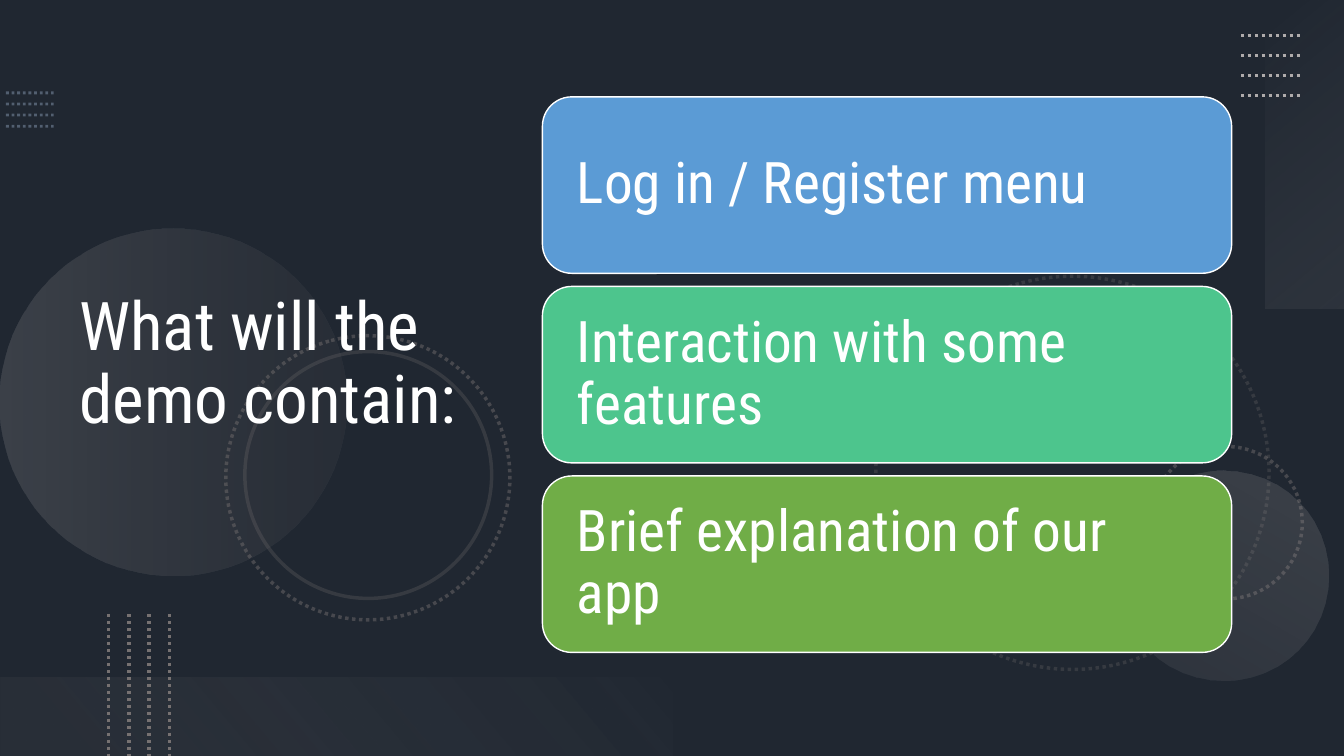
import dataclasses

import pptx
import pptx.dml.color
import pptx.enum.dml
import pptx.enum.shapes
import pptx.enum.text
import pptx.oxml
import pptx.oxml.ns
import pptx.util

Cm, Pt = pptx.util.Cm, pptx.util.Pt
SHAPES = pptx.enum.shapes.MSO_SHAPE
WIDTH, HEIGHT = 33.87, 19.05


@dataclasses.dataclass(frozen=True)
class Theme:
    font: str = "Roboto Condensed"
    title_size: float = 48
    card_size: float = 41
    background: str = "44546A"
    shade: str = "000000"
    text: str = "FFFFFF"
    blue_dots: str = "8497B0"
    light_gray: str = "AFABAB"
    dark_gray: str = "767171"
    pale: str = "F5F5F5"
    cards: tuple = ("5B9BD5", "4DC58D", "70AD47")


THEME = Theme()


def rgb(color):
    return pptx.dml.color.RGBColor.from_string(color)


def set_alpha(fill, percent):
    """Make a solid fill partly transparent."""
    color = fill._xPr.find(".//" + pptx.oxml.ns.qn("a:srgbClr"))
    alpha = pptx.oxml.parse_xml(
        f'<a:alpha {pptx.oxml.ns.nsdecls("a")} val="{percent * 1000}"/>')
    color.append(alpha)


def set_gradient(shape, stops, angle):
    """Fill a shape with (position, color, alpha) stops, angle clockwise."""
    stop_xml = "".join(
        f'<a:gs pos="{position * 1000}"><a:srgbClr val="{color}">'
        f'<a:alpha val="{alpha * 1000}"/></a:srgbClr></a:gs>'
        for position, color, alpha in stops)
    gradient = pptx.oxml.parse_xml(
        f'<a:gradFill {pptx.oxml.ns.nsdecls("a")} rotWithShape="1">'
        f'<a:gsLst>{stop_xml}</a:gsLst>'
        f'<a:lin ang="{angle * 60000}" scaled="0"/></a:gradFill>')
    properties = shape._element.spPr
    properties.find(pptx.oxml.ns.qn("a:prstGeom")).addnext(gradient)


def set_line(line, color, width, dotted=False, alpha=100):
    line.width = Pt(width)
    line.fill.solid()
    line.fill.fore_color.rgb = rgb(color)
    if alpha < 100:
        set_alpha(line.fill, alpha)
    if dotted:
        line.dash_style = pptx.enum.dml.MSO_LINE.ROUND_DOT


def add_shape(slide, kind, box, fill=None, gradient=None, angle=90, rotation=0):
    """Add a shape without line or shadow."""
    shape = slide.shapes.add_shape(kind, *map(Cm, box))
    shape.shadow.inherit = False
    shape.rotation = rotation
    shape.line.fill.background()
    if gradient:
        set_gradient(shape, gradient, angle)
    elif fill:
        shape.fill.solid()
        shape.fill.fore_color.rgb = rgb(fill)
    else:
        shape.fill.background()
    return shape


def write_text(shape, text, size, color=THEME.text, inset=0.25, space_after=0):
    frame = shape.text_frame
    frame.word_wrap = True
    frame.vertical_anchor = pptx.enum.text.MSO_ANCHOR.MIDDLE
    frame.margin_left = frame.margin_right = Cm(inset)
    frame.margin_top = frame.margin_bottom = Cm(inset / 2)
    paragraph = frame.paragraphs[0]
    paragraph.alignment = pptx.enum.text.PP_ALIGN.LEFT
    paragraph.line_spacing = 0.9
    paragraph.space_after = Pt(space_after)
    run = paragraph.add_run()
    run.text = text
    run.font.name = THEME.font
    run.font.size = Pt(size)
    run.font.color.rgb = rgb(color)


def add_dotted_lines(slide, box, color, width, vertical=False, alpha=100, count=4):
    """Spread parallel dotted lines evenly over the box."""
    left, top, box_width, box_height = box
    for index in range(count):
        share = index / (count - 1)
        if vertical:
            x, y = left + box_width * share, top
            end_x, end_y = x, top + box_height
        else:
            x, y = left, top + box_height * share
            end_x, end_y = left + box_width, y
        connector = slide.shapes.add_connector(
            pptx.enum.shapes.MSO_CONNECTOR.STRAIGHT, Cm(x), Cm(y), Cm(end_x), Cm(end_y))
        set_line(connector.line, color, width, dotted=True, alpha=alpha)
        connector._element.spPr.append(pptx.oxml.parse_xml(
            f'<a:effectLst {pptx.oxml.ns.nsdecls("a")}/>'))


def add_ring(slide, left, top, diameter, rotation, alpha, dotted=True):
    ring = add_shape(slide, SHAPES.OVAL, (left, top, diameter, diameter), rotation=rotation)
    set_line(ring.line, THEME.dark_gray, 2.5, dotted, alpha)


def add_disc(slide, left, top, diameter, rotation, stops):
    add_shape(slide, SHAPES.OVAL, (left, top, diameter, diameter),
              gradient=stops, rotation=rotation)


def add_backdrop(slide, box):
    left, top, width, height = box
    right, bottom = left + width, top + height
    slide.background.fill.solid()
    slide.background.fill.fore_color.rgb = rgb(THEME.background)
    shade = add_shape(slide, SHAPES.RECTANGLE, box, fill=THEME.shade)
    set_alpha(shade.fill, 53)
    add_dotted_lines(slide, (left + 0.15, top + 2.34, 1.2, 0.84),
                     THEME.blue_dots, 2, alpha=50)

    # Rings and discs
    add_ring(slide, right - 11.8, top + 6.96, 9.91, 75, alpha=25)
    add_ring(slide, right - 4.89, top + 11.25, 3.84, 270, alpha=45)
    add_disc(slide, left, top + 5.77, 8.74, 270,
             [(0, THEME.light_gray, 20), (100, THEME.dark_gray, 10)])
    add_disc(slide, right - 5.68, top + 11.86, 5.28, 210,
             [(0, THEME.light_gray, 10), (100, THEME.light_gray, 20)])
    add_ring(slide, left + 5.69, top + 8.46, 7.16, 75, alpha=45)
    add_ring(slide, left + 6.17, top + 8.86, 6.22, 75, alpha=25, dotted=False)

    # Corner panels with their dots
    add_shape(slide, SHAPES.RECTANGLE, (right - 4.86, top + 2.9, 7.77, 1.98), angle=140,
              gradient=[(0, THEME.pale, 0), (100, THEME.light_gray, 10)], rotation=270)
    add_dotted_lines(slide, (right - 2.6, top + 0.89, 1.52, 1.52), THEME.light_gray, 2.5)
    add_shape(slide, SHAPES.RECTANGLE, (left, bottom - 1.98, 16.94, 1.98), angle=140,
              gradient=[(10, THEME.dark_gray, 10), (100, THEME.pale, 0)], rotation=180)
    add_dotted_lines(slide, (left + 2.74, bottom - 3.58, 1.53, 3.58),
                     THEME.dark_gray, 2.5, vertical=True)


def add_title(slide, box, text):
    title = slide.shapes.add_textbox(*map(Cm, box))
    write_text(title, text, THEME.title_size, space_after=6)


def add_cards(slide, box, labels, gap=0.33):
    """Stack one rounded card per label."""
    left, top, width, height = box
    card_height = (height - gap * (len(labels) - 1)) / len(labels)
    for index, (label, color) in enumerate(zip(labels, THEME.cards)):
        card_top = top + index * (card_height + gap)
        card = add_shape(slide, SHAPES.ROUNDED_RECTANGLE,
                         (left, card_top, width, card_height), fill=color)
        set_line(card.line, THEME.text, 1)
        write_text(card, label, THEME.card_size, inset=0.65)


def main():
    presentation = pptx.Presentation()
    presentation.slide_width, presentation.slide_height = Cm(WIDTH), Cm(HEIGHT)
    slide = presentation.slides.add_slide(presentation.slide_layouts[6])
    add_backdrop(slide, (0, 0, WIDTH, HEIGHT))
    add_title(slide, (1.75, 1.37, 11.66, 15.67), "What will the demo contain:")
    add_cards(slide, (13.67, 2.44, 17.37, 14), [
        "Log in / Register menu",
        "Interaction with some features",
        "Brief explanation of our app",
    ])
    presentation.save("out.pptx")


if __name__ == "__main__":
    main()
